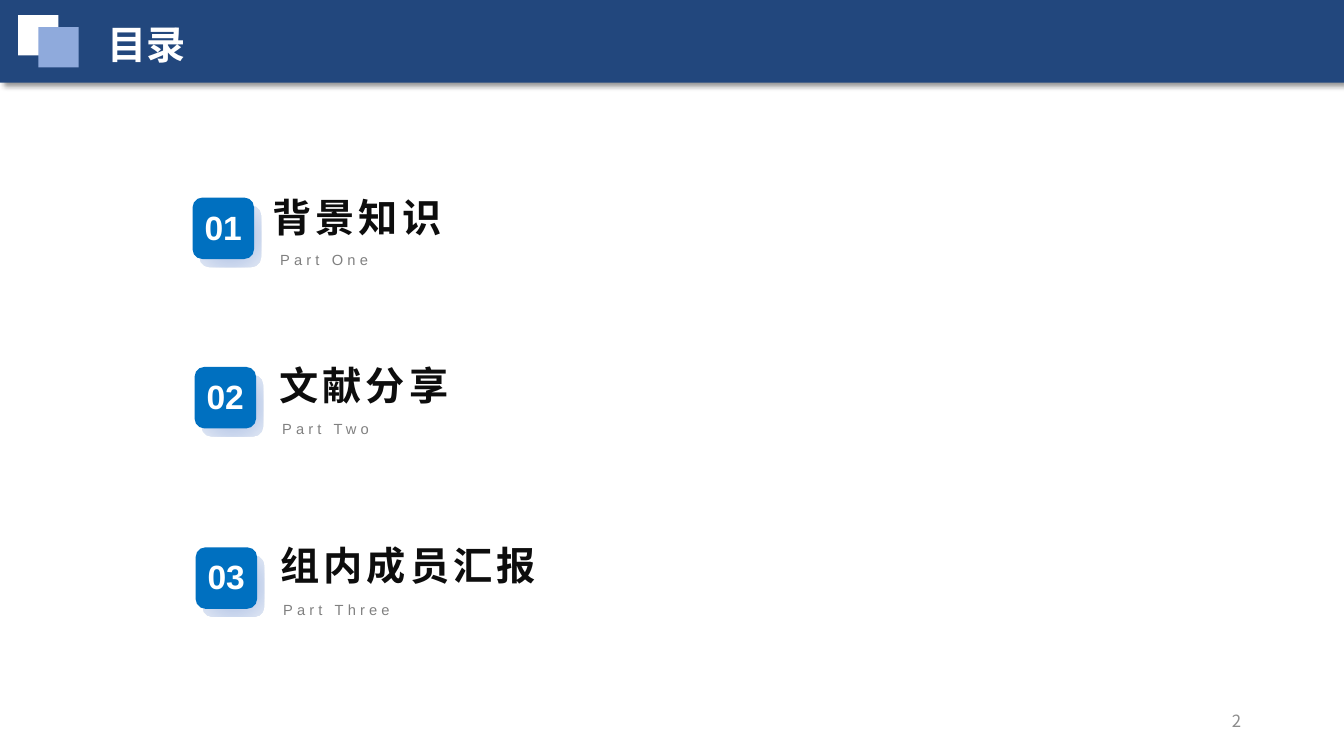
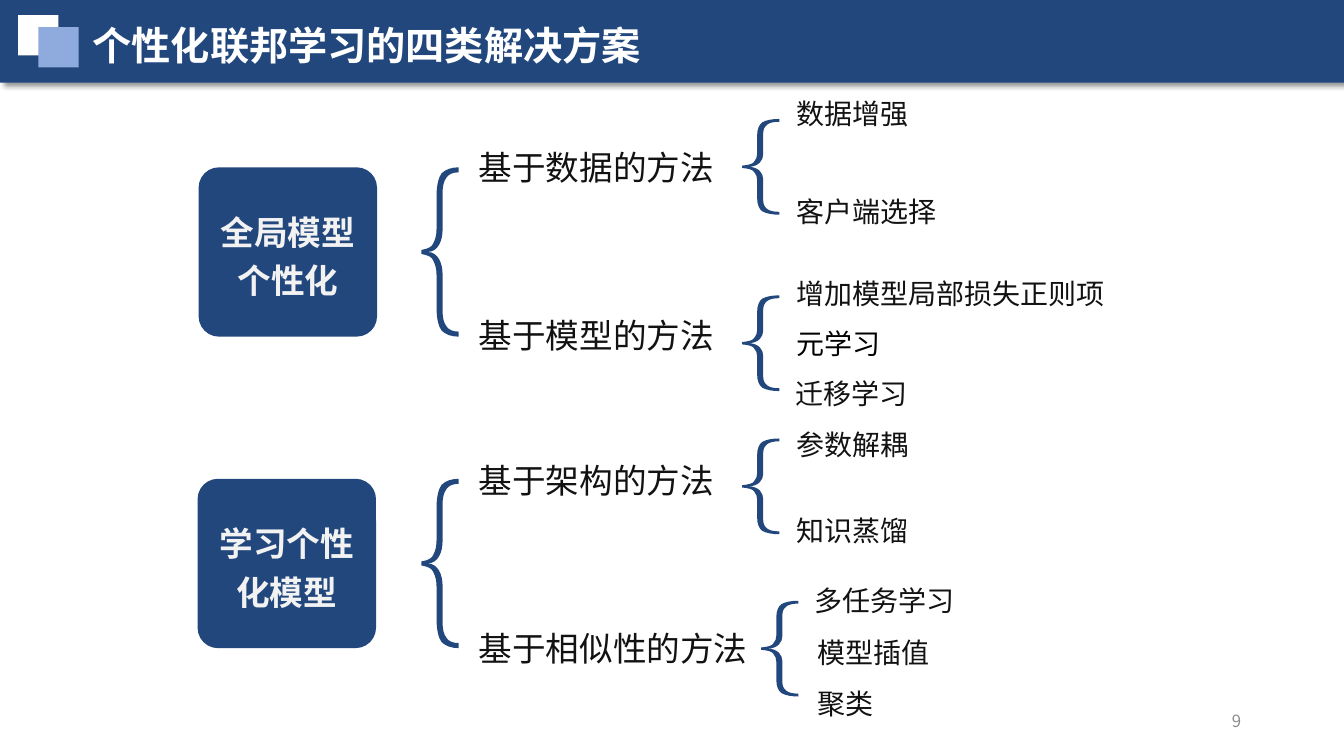
from lxml import etree
from pptx import Presentation
from pptx.dml.color import RGBColor
from pptx.enum import shapes, text
from pptx.oxml import ns, parse_xml
from pptx.util import Inches, Pt

NAVY = RGBColor(0x22, 0x47, 0x7D)
PERIWINKLE = RGBColor(0x8F, 0xAA, 0xDC)
BLUE = RGBColor(0x00, 0x70, 0xC0)
WHITE = RGBColor(0xFF, 0xFF, 0xFF)
OFF_WHITE = RGBColor(0xF2, 0xF2, 0xF2)
INK = RGBColor(0x12, 0x12, 0x12)
BLACK = RGBColor(0x00, 0x00, 0x00)
HEADING_DARK = RGBColor(0x0D, 0x0D, 0x0D)
HEADING_LIGHT = RGBColor(0x59, 0x59, 0x59)
GRAY = RGBColor(0x80, 0x80, 0x80)
PAGE_GRAY = RGBColor(0x8C, 0x8C, 0x8C)
TILE_GLOW = ((0, "94B1E1"), (50, "BFCEEA"), (100, "E0E7F4"))

CJK_FONT = "Noto Sans CJK SC"
LATIN_FONT = "Arial"
RECTANGLE = shapes.MSO_SHAPE.RECTANGLE
ROUNDED = shapes.MSO_SHAPE.ROUNDED_RECTANGLE

AGENDA = (
    # tile left and top, heading left, top and width, heading, caption
    (1.91, 1.96, 2.60, 1.87, 3.47, "背景知识", "Part One"),
    (1.93, 3.64, 2.67, 3.54, 2.54, "文献分享", "Part Two"),
    (1.94, 5.43, 2.68, 5.32, 2.86, "组内成员汇报", "Part Three"),
)

CATEGORIES = (
    # left, top, name
    (1.97, 1.66, "全局模型个性化"),
    (1.96, 4.75, "学习个性化模型"),
)

METHODS = (
    # label top, width and text, brace left and top, techniques (left, top, name, colour)
    (1.41, 2.64, "基于数据的方法", 7.36, 1.18, (
        (7.80, 0.91, "数据增强", INK),
        (7.80, 1.88, "客户端选择", INK))),
    (3.08, 2.64, "基于模型的方法", 7.36, 2.93, (
        (7.80, 2.69, "增加模型局部损失正则项", INK),
        (7.80, 3.19, "元学习", BLACK),
        (7.79, 3.69, "迁移学习", INK))),
    (4.51, 2.64, "基于架构的方法", 7.36, 4.35, (
        (7.80, 4.19, "参数解耦", INK),
        (7.80, 5.05, "知识蒸馏", INK))),
    (6.18, 3, "基于相似性的方法", 7.55, 5.96, (
        (7.98, 5.74, "多任务学习", INK),
        (8.01, 6.26, "模型插值", INK),
        (8.01, 6.76, "聚类", INK))),
)

# Lower half of a brace 1.68 high, from the inner notch to the tip: one point
# ends a line, three points shape a Bezier curve.
BRACE_HEIGHT = 1.68
BRACE_START = (0.06, 0)
BRACE_SEGMENTS = (
    ((0.17, 0), (0.21, 0.12), (0.21, 0.22)),
    ((0.21, 0.58),),
    ((0.21, 0.65), (0.22, 0.70), (0.25, 0.74)),
    ((0.27, 0.77), (0.31, 0.79), (0.37, 0.79)),
    ((0.37, 0.84),),
    ((0.30, 0.84), (0.24, 0.82), (0.20, 0.78)),
    ((0.17, 0.74), (0.15, 0.66), (0.15, 0.55)),
    ((0.15, 0.23),),
    ((0.15, 0.17), (0.14, 0.13), (0.12, 0.09)),
    ((0.11, 0.05), (0.06, 0.03), (0, 0.02)),
)


def set_text(shape, content, size, color, font_name=CJK_FONT, bold=False,
             align=text.PP_ALIGN.LEFT, spacing=0):
    """Fill the shape with one formatted paragraph and return its run."""
    shape.text_frame.word_wrap = True
    paragraph = shape.text_frame.paragraphs[0]
    paragraph.text = content
    paragraph.alignment = align
    run = paragraph.runs[0]
    run.font.size = Pt(size)
    run.font.bold = bold
    run.font.color.rgb = color
    run.font.name = font_name
    properties = run.font._element
    etree.SubElement(properties, ns.qn("a:ea")).set("typeface", CJK_FONT)
    if spacing:
        properties.set("spc", str(spacing * 100))
    return run


def add_label(container, left, top, width, height, content, size, color, **style):
    """Add a text box that grows with its text; return the box and its run."""
    box = container.add_textbox(Inches(left), Inches(top), Inches(width), Inches(height))
    run = set_text(box, content, size, color, **style)
    box.text_frame.auto_size = text.MSO_AUTO_SIZE.SHAPE_TO_FIT_TEXT
    return box, run


def add_block(container, kind, left, top, width, height, color, corner=None):
    block = container.add_shape(kind, Inches(left), Inches(top), Inches(width), Inches(height))
    block.shadow.inherit = False
    block.fill.solid()
    block.fill.fore_color.rgb = color
    block.line.fill.background()
    if corner is not None:
        block.adjustments[0] = corner
    return block


def add_drop_shadow(shape):
    effects = shape._element.spPr.find(ns.qn("a:effectLst"))
    effects.append(parse_xml(
        f'<a:outerShdw {ns.nsdecls("a")} blurRad="{Pt(4)}" dist="{Pt(3)}" '
        'dir="2700000" algn="tl" rotWithShape="0"><a:srgbClr val="000000">'
        '<a:alpha val="40000"/></a:srgbClr></a:outerShdw>'))


def set_radial_fill(shape, stops):
    stop_xml = "".join(
        f'<a:gs pos="{position * 1000}"><a:srgbClr val="{color}"/></a:gs>'
        for position, color in stops)
    gradient = parse_xml(
        f'<a:gradFill {ns.nsdecls("a")}><a:gsLst>{stop_xml}</a:gsLst>'
        '<a:path path="circle"><a:fillToRect l="50000" t="50000" r="50000" b="50000"/>'
        '</a:path></a:gradFill>')
    properties = shape._element.spPr
    properties.replace(properties.find(ns.qn("a:solidFill")), gradient)


def brace_segments():
    """The whole outline: the lower half, the tip, and the mirrored upper half."""
    starts = [BRACE_START] + [segment[-1] for segment in BRACE_SEGMENTS]
    upper = []
    for start, segment in reversed(list(zip(starts, BRACE_SEGMENTS))):
        backwards = (*reversed(segment[:-1]), start)
        upper.append(tuple((x, -y) for x, y in backwards))
    tip_x, tip_y = starts[-1]
    return [*BRACE_SEGMENTS, ((tip_x, -tip_y),), *upper]


def add_brace(container, left, top, height):
    stretch = height / BRACE_HEIGHT
    middle = top + height / 2

    def place(point):
        return Inches(left + point[0]), Inches(middle + point[1] * stretch)

    segments = brace_segments()
    builder = container.build_freeform(*place(BRACE_START))
    builder.add_line_segments([place(segment[-1]) for segment in segments], close=True)
    brace = builder.convert_to_shape()
    lines = list(brace._element.iter(ns.qn("a:lnTo")))
    for line, segment in zip(lines, segments):
        if len(segment) == 3:
            curve = etree.Element(ns.qn("a:cubicBezTo"))
            for point in segment:
                x, y = place(point)
                corner = etree.SubElement(curve, ns.qn("a:pt"))
                corner.set("x", str(x - brace.left))
                corner.set("y", str(y - brace.top))
            line.getparent().replace(line, curve)
    brace.shadow.inherit = False
    brace.fill.solid()
    brace.fill.fore_color.rgb = NAVY
    brace.line.fill.background()


def add_framed_slide(presentation, title, title_left, title_top, title_width, page_number):
    """Add a blank slide with the title band and the page number."""
    slide = presentation.slides.add_slide(presentation.slide_layouts[6])
    band = add_block(slide.shapes, RECTANGLE, 0, 0, 13.33, 0.82, NAVY)
    add_drop_shadow(band)
    add_block(slide.shapes, RECTANGLE, 0.18, 0.15, 0.4, 0.4, WHITE)
    add_block(slide.shapes, RECTANGLE, 0.38, 0.27, 0.4, 0.4, PERIWINKLE)
    add_label(slide.shapes, title_left, title_top, title_width, 0.57, title, 28, WHITE,
              bold=True)
    number, _ = add_label(slide.shapes, 9.41, 6.95, 3, 0.4, str(page_number), 12,
                          PAGE_GRAY, align=text.PP_ALIGN.RIGHT)
    number.text_frame.auto_size = text.MSO_AUTO_SIZE.NONE
    number.text_frame.vertical_anchor = text.MSO_ANCHOR.MIDDLE
    return slide


def add_agenda_item(slide, number, left, top, heading_left, heading_top, heading_width,
                    heading, caption):
    item = slide.shapes.add_group_shape().shapes
    add_label(item, left + 0.77, top + 0.48, 3.08, 0.28, caption, 10.5, GRAY,
              font_name=LATIN_FONT, spacing=3)
    glow = add_block(item, ROUNDED, left + 0.07, top + 0.08, 0.61, 0.61, WHITE, 0.16)
    set_radial_fill(glow, TILE_GLOW)
    add_block(item, ROUNDED, left, top, 0.61, 0.61, BLUE, 0.16)
    digits, _ = add_label(item, left + 0.02, top + 0.04, 0.58, 0.5, f"{number:02}", 24, WHITE,
                          font_name=LATIN_FONT, bold=True)
    digits.text_frame.word_wrap = False
    _, run = add_label(item, heading_left, heading_top, heading_width, 0.57, heading, 28,
                       HEADING_DARK, font_name=LATIN_FONT, bold=True, spacing=3)
    fill = run.font.fill
    fill.gradient()
    fill.gradient_angle = 270
    for stop, color in zip(fill.gradient_stops, (HEADING_DARK, HEADING_LIGHT)):
        stop.color.rgb = color


def add_category(slide, left, top, name):
    card = add_block(slide.shapes, ROUNDED, left, top, 1.77, BRACE_HEIGHT, NAVY, 0.12)
    set_text(card, name, 24, OFF_WHITE, bold=True, align=text.PP_ALIGN.CENTER)
    frame = card.text_frame
    frame.margin_left = frame.margin_right = Inches(0.07)
    frame.margin_top = frame.margin_bottom = Inches(0.03)
    frame.vertical_anchor = text.MSO_ANCHOR.MIDDLE
    frame.paragraphs[0].line_spacing = 1.2
    add_brace(slide.shapes, 4.18, top, BRACE_HEIGHT)


def add_method(slide, label_top, label_width, label, brace_left, brace_top, techniques):
    add_label(slide.shapes, 4.65, label_top, label_width, 0.5, label, 24, INK)
    add_brace(slide.shapes, brace_left, brace_top, 0.95)
    for left, top, name, color in techniques:
        add_label(slide.shapes, left, top, 4.9, 0.44, name, 20, color)


def main():
    presentation = Presentation()
    presentation.slide_width = Inches(13.33)
    presentation.slide_height = Inches(7.5)

    agenda = add_framed_slide(presentation, "目录", 0.97, 0.15, 4.39, 2)
    for number, item in enumerate(AGENDA, start=1):
        add_agenda_item(agenda, number, *item)

    solutions = add_framed_slide(presentation, "个性化联邦学习的四类解决方案",
                                 0.82, 0.16, 9.01, 9)
    for category in CATEGORIES:
        add_category(solutions, *category)
    for method in METHODS:
        add_method(solutions, *method)

    presentation.save("out.pptx")


if __name__ == "__main__":
    main()
